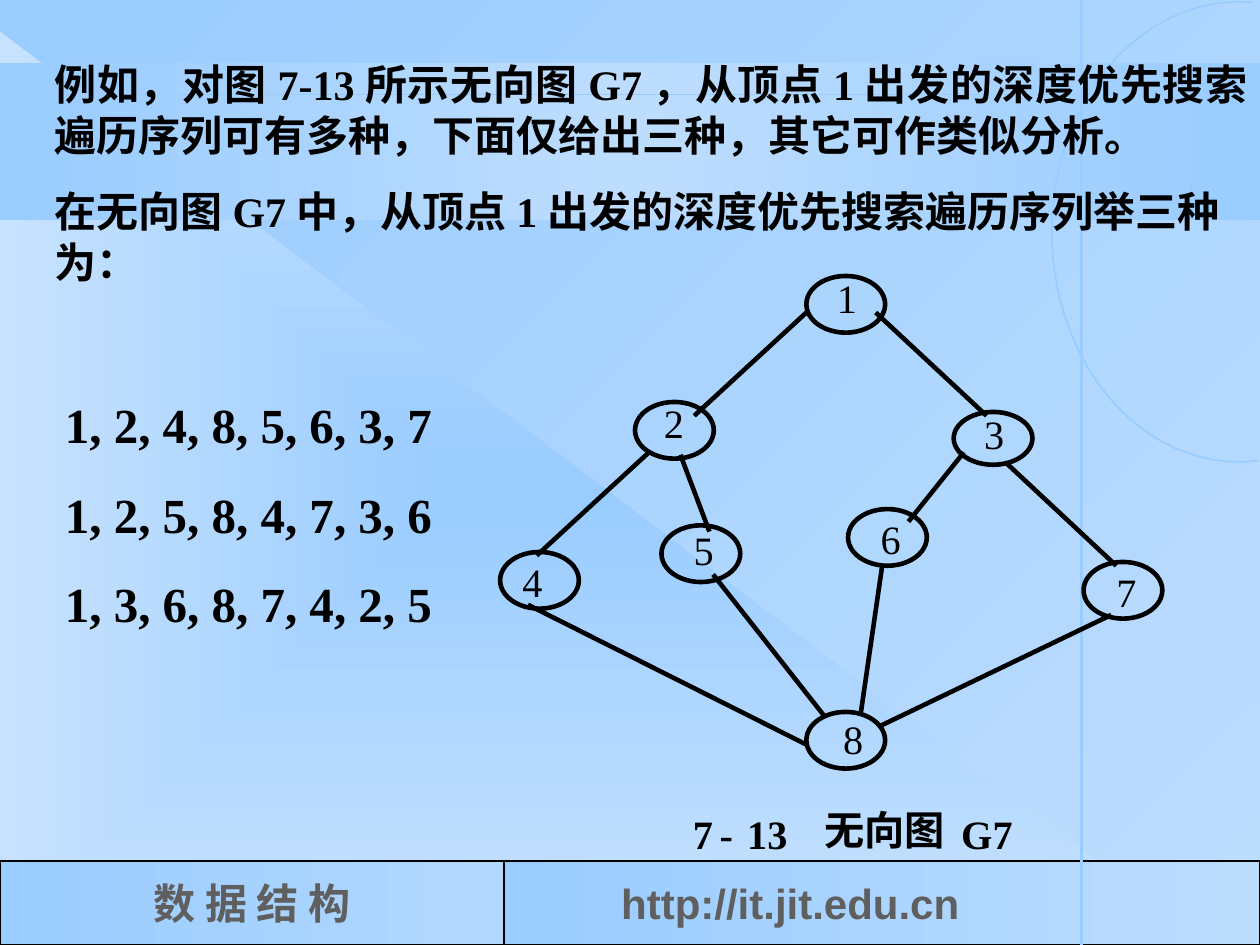
from math import cos, radians, sin

from lxml.etree import SubElement
from pptx import Presentation
from pptx.dml.color import RGBColor as RGB
from pptx.enum.shapes import MSO_CONNECTOR as Link, MSO_SHAPE as Form
from pptx.enum.text import MSO_ANCHOR as Anchor, MSO_AUTO_SIZE as Fit, PP_ALIGN as Align
from pptx.oxml import parse_xml
from pptx.oxml.ns import qn
from pptx.util import Pt

HUES = {"ink": "000000", "gray": "5F5F5F", "blue": "99CCFF",
        "soft": "BDDDFE", "mist": "B3D8FE", "pale": "C7E2FE"}
SERIF, SANS, HAN = "Times New Roman", "Arial", "Noto Sans CJK SC"
NS = "http://schemas.openxmlformats.org/drawingml/2006/main"


def shade(owner, fill, tones, angle=None):
    """Give a fill evenly spaced stops, linear at an angle or else out from the centre."""
    fill.gradient()
    old = next(owner.element.iter(qn("a:gradFill")))
    stops = "".join(
        f'<a:gs pos="{100000 * i // (len(tones) - 1)}"><a:srgbClr val="{HUES[tone]}"/></a:gs>'
        for i, tone in enumerate(tones))
    if angle is None:
        mode = '<a:path path="rect"><a:fillToRect l="50000" t="50000" r="50000" b="50000"/></a:path>'
    else:
        mode = f'<a:lin ang="{angle * 60000}" scaled="0"/>'
    new = parse_xml(f'<a:gradFill xmlns:a="{NS}" rotWithShape="1">'
                    f'<a:gsLst>{stops}</a:gsLst>{mode}</a:gradFill>')
    old.getparent().replace(old, new)


def write(frame, lines, size, hue="ink", face=SERIF, bold=True, align=Align.CENTER, gap=0):
    for i, line in enumerate(lines):
        para = frame.paragraphs[0] if i == 0 else frame.add_paragraph()
        para.alignment = align
        para.space_before = Pt(gap if i else 0)
        run = para.add_run()
        run.text = line
        for key, value in {"size": Pt(size), "bold": bold, "name": face}.items():
            setattr(run.font, key, value)
        run.font.color.rgb = RGB.from_string(HUES[hue])
        SubElement(run.font._element, qn("a:ea")).set("typeface", HAN)


deck = Presentation()
deck.slide_width, deck.slide_height = Pt(720), Pt(540)
slide = deck.slides.add_slide(deck.slide_layouts[6])
shapes = slide.shapes
shade(slide, slide.background.fill, ["soft", "blue"], 225)

# Backdrop and footer panels: form, box, tones, angle, outlined
panels = [
    (Form.RIGHT_TRIANGLE, (0, 18, 690, 522), ["blue", "pale"], None, False),
    (Form.RECTANGLE, (0, 36, 720, 90), ["blue", "soft", "blue"], 180, False),
    (Form.RECTANGLE, (0, 492, 288, 48), ["mist", "blue"], 180, True),
    (Form.RECTANGLE, (288, 492, 432, 48), ["blue", "soft"], 0, True),
]
feet = []
for form, box, tones, angle, edged in panels:
    panel = shapes.add_shape(form, *map(Pt, box))
    panel.shadow.inherit = False
    shade(panel, panel.fill, tones, angle)
    if edged:
        panel.line.color.rgb = RGB.from_string(HUES["ink"])
        panel.line.width = Pt(1.5)
        panel.text_frame.vertical_anchor = Anchor.MIDDLE
        panel.text_frame.word_wrap = False
        feet.append(panel.text_frame)
    else:
        panel.line.fill.background()
write(feet[0], ["数 据 结 构"], 24, "gray")
feet[1].margin_left = Pt(67)
write(feet[1], ["http://it.jit.edu.cn"], 24, "gray", SANS, align=Align.LEFT)

# Open arc at the right edge
dots = [(Pt(708 + 107 * cos(radians(a))), Pt(132.5 + 131.5 * sin(radians(a))))
        for a in range(84, 275, 5)]
pen = shapes.build_freeform(*dots[0], scale=1.0)
pen.add_line_segments(dots[1:], close=False)
arc = pen.convert_to_shape()
arc.shadow.inherit = False
arc.fill.background()
arc.line.color.rgb = RGB.from_string(HUES["blue"])
arc.line.width = Pt(1)

# Rules of the backdrop, then the edges of the graph
rules = [("blue", 1, (0, 54, 720, 54)), ("blue", 1.5, (618, 0, 618, 540))]
edges = [
    (460.8, 178.6, 396.7, 237.6),  # 1-2
    (500.4, 178.6, 563.8, 237.6),  # 1-3
    (370.8, 258.5, 306.7, 317.5),  # 2-4
    (388.8, 259.9, 405.4, 303.8),  # 2-5
    (550.8, 258.5, 519.1, 298.1),  # 3-6
    (574.6, 264.2, 637.9, 323.3),  # 3-7
    (301.7, 345.6, 460.8, 425.5),  # 4-8
    (407.5, 328.3, 470.9, 409),    # 5-8
    (504, 324, 491.8, 408.2),      # 6-8
    (635, 351.4, 503.3, 414.7),    # 7-8
]
for hue, width, ends in rules + [("ink", 2.64, edge) for edge in edges]:
    link = shapes.add_connector(Link.STRAIGHT, *map(Pt, ends))
    link.line.color.rgb = RGB.from_string(HUES[hue])
    link.line.width = Pt(width)
    SubElement(link._element.spPr, qn("a:effectLst"))

# Vertices: ellipse left, top, height; label left, top, width
nodes = {
    "1": (460.8, 157.7, 32.4, 473.8, 156.2, 20.2),
    "2": (362.9, 229.7, 32.4, 379.4, 227.5, 11.5),
    "3": (545, 235.4, 30.2, 558, 234, 20.2),
    "4": (285.8, 315.4, 32.4, 293.8, 318.2, 20.9),
    "5": (378, 300.2, 32.4, 390.2, 300.2, 23.8),
    "6": (484.6, 290.9, 32.4, 498.2, 293.8, 21.6),
    "7": (619.2, 321.1, 32.4, 632.9, 324, 21.6),
    "8": (460.8, 406.8, 32.4, 473.8, 408.2, 27.4),
}
labels = []
for name, (left, top, tall, *spot) in nodes.items():
    ring = shapes.add_shape(Form.OVAL, Pt(left), Pt(top), Pt(45), Pt(tall))
    ring.shadow.inherit = False
    ring.fill.background()
    ring.line.color.rgb = RGB.from_string(HUES["ink"])
    ring.line.width = Pt(2.64)
    labels.append((name, *spot, SERIF, False))

# Caption pieces follow the vertex labels
labels += [
    ("7", 396, 462.2, 11.5, SERIF, True),
    ("-", 411.1, 462.2, 7.9, SERIF, True),
    ("13", 423.5, 462.2, 30, SERIF, True),
    ("无向图", 469, 460.1, 73, HAN, True),
    ("G7", 545.5, 462.2, 37, SERIF, True),
]
for text, left, top, wide, face, bold in labels:
    frame = shapes.add_textbox(Pt(left), Pt(top), Pt(wide), Pt(27.4)).text_frame
    for side in ("left", "top", "right", "bottom"):
        setattr(frame, f"margin_{side}", 0)
    frame.word_wrap = False
    write(frame, [text], 23, face=face, bold=bold)

# Prose and the three traversal orders
prose = [
    "例如，对图7-13所示无向图G7，从顶点1出发的深度优先搜索遍历序列可有多种，下面仅给出三种，其它可作类似分析。",
    "在无向图G7中，从顶点1出发的深度优先搜索遍历序列举三种为：",
]
orders = ["1, 2, 4, 8, 5, 6, 3, 7", "1, 2, 5, 8, 4, 7, 3, 6", "1, 3, 6, 8, 7, 4, 2, 5"]
blocks = [((24, 30, 696, 137.5), prose, 24, 15), ((30, 222, 270, 143.3), orders, 28, 17.5)]
for box, lines, size, gap in blocks:
    frame = shapes.add_textbox(*map(Pt, box)).text_frame
    frame.word_wrap = True
    frame.auto_size = Fit.SHAPE_TO_FIT_TEXT
    write(frame, lines, size, align=Align.JUSTIFY, gap=gap)
    if lines is prose:
        frame.paragraphs[1].alignment = Align.LEFT

deck.save("out.pptx")
